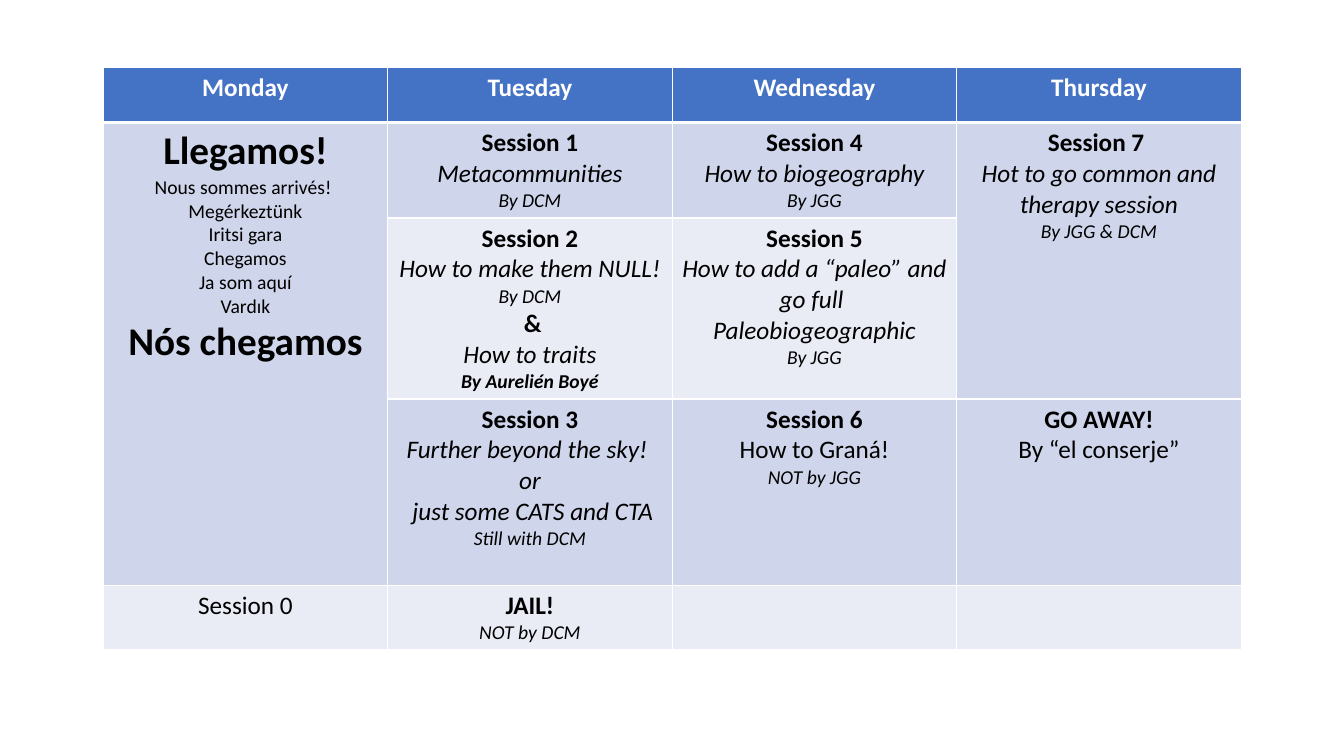
from dataclasses import dataclass

from lxml.etree import SubElement
from pptx import Presentation
from pptx.dml.color import RGBColor
from pptx.enum.text import PP_ALIGN
from pptx.oxml.ns import qn
from pptx.table import Table, _Cell
from pptx.util import Cm, Pt

WHITE = RGBColor(0xFF, 0xFF, 0xFF)
BLACK = RGBColor(0x00, 0x00, 0x00)
HEADER_BLUE = RGBColor(0x44, 0x72, 0xC4)
BAND_DARK = RGBColor(0xCF, 0xD5, 0xEA)
BAND_LIGHT = RGBColor(0xE9, 0xEB, 0xF5)

FONT = "Calibri"
COLUMN_WIDTH = 7.17
ROW_HEIGHTS = (1.4, 2.4, 4.56, 4.69, 1.61)
ROW_FILLS = (HEADER_BLUE, BAND_DARK, BAND_LIGHT, BAND_DARK, BAND_LIGHT)
DAYS = ("Monday", "Tuesday", "Wednesday", "Thursday")


@dataclass(frozen=True)
class Style:
    size: int
    bold: bool = False
    italic: bool = False
    color: RGBColor = BLACK


@dataclass(frozen=True)
class Line:
    text: str
    style: Style


@dataclass(frozen=True)
class Entry:
    row: int
    column: int
    lines: tuple[Line, ...]
    row_span: int = 1


DAY = Style(18, bold=True, color=WHITE)
SHOUT = Style(28, bold=True)
GREETING = Style(14)
SESSION = Style(18, bold=True)
PLAIN = Style(18)
TOPIC = Style(18, italic=True)
SPEAKER = Style(14, italic=True)
GUEST = Style(14, bold=True, italic=True)

GREETINGS = ("Nous sommes arrivés! ", "Megérkeztünk", "Iritsi gara",
             "Chegamos", "Ja som aquí", "Vardık")

ENTRIES = (
    *(Entry(0, column, (Line(day, DAY),)) for column, day in enumerate(DAYS)),
    # Monday
    Entry(1, 0, (Line("Llegamos!", SHOUT),
                 *(Line(greeting, GREETING) for greeting in GREETINGS),
                 Line("Nós chegamos", SHOUT)), row_span=3),
    Entry(4, 0, (Line("Session 0", PLAIN),)),
    # Tuesday
    Entry(1, 1, (Line("Session 1", SESSION), Line("Metacommunities", TOPIC),
                 Line("By DCM", SPEAKER))),
    Entry(2, 1, (Line("Session 2", SESSION), Line("How to make them NULL!", TOPIC),
                 Line("By DCM", SPEAKER), Line(" &", SESSION),
                 Line("How to traits", TOPIC), Line("By Aurelién Boyé", GUEST))),
    Entry(3, 1, (Line("Session 3", SESSION), Line("Further beyond the sky! ", TOPIC),
                 Line("or", TOPIC), Line(" just some CATS and CTA", TOPIC),
                 Line("Still with DCM", SPEAKER))),
    Entry(4, 1, (Line("JAIL!", SESSION), Line("NOT by DCM", SPEAKER))),
    # Wednesday
    Entry(1, 2, (Line("Session 4", SESSION), Line("How to biogeography", TOPIC),
                 Line("By JGG", SPEAKER))),
    Entry(2, 2, (Line("Session 5", SESSION),
                 Line("How to add a “paleo” and go full ", TOPIC),
                 Line("Paleobiogeographic", TOPIC), Line("By JGG", SPEAKER))),
    Entry(3, 2, (Line("Session 6", SESSION), Line("How to Graná!", PLAIN),
                 Line("NOT by JGG", SPEAKER))),
    # Thursday
    Entry(1, 3, (Line("Session 7 ", SESSION),
                 Line("Hot to go common and therapy session", TOPIC),
                 Line("By JGG & DCM", SPEAKER)), row_span=2),
    Entry(3, 3, (Line("GO AWAY!", SESSION), Line("By “el conserje”", PLAIN))),
)


def add_borders(cell: _Cell, top: int, bottom: int) -> None:
    properties = cell._tc.get_or_add_tcPr()
    for tag, width in (("a:lnL", 1), ("a:lnR", 1), ("a:lnT", top), ("a:lnB", bottom)):
        border = SubElement(properties, qn(tag), w=str(Pt(width)))
        fill = SubElement(border, qn("a:solidFill"))
        SubElement(fill, qn("a:srgbClr"), val=str(WHITE))


def style_grid(table: Table) -> None:
    table.first_row = False
    table.horz_banding = False
    for column in table.columns:
        column.width = Cm(COLUMN_WIDTH)
    for index, (row, height) in enumerate(zip(table.rows, ROW_HEIGHTS)):
        row.height = Cm(height)
        for cell in row.cells:
            # The rule under the header is the heavy one
            add_borders(cell, top=3 if index == 1 else 1, bottom=3 if index == 0 else 1)
            cell.fill.solid()
            cell.fill.fore_color.rgb = ROW_FILLS[index]


def write_entry(table: Table, entry: Entry) -> None:
    cell = table.cell(entry.row, entry.column)
    if entry.row_span > 1:
        cell.merge(table.cell(entry.row + entry.row_span - 1, entry.column))
    frame = cell.text_frame
    for index, line in enumerate(entry.lines):
        para = frame.add_paragraph() if index else frame.paragraphs[0]
        para.alignment = PP_ALIGN.CENTER
        span = para.add_run()
        span.text = line.text
        span.font.name = FONT
        span.font.size = Pt(line.style.size)
        span.font.bold = line.style.bold
        span.font.italic = line.style.italic
        span.font.color.rgb = line.style.color


def main() -> None:
    deck = Presentation()
    deck.slide_width = Cm(33.87)
    deck.slide_height = Cm(19.05)
    page = deck.slides.add_slide(deck.slide_layouts[6])

    # Timetable
    timetable = page.shapes.add_table(
        len(ROW_HEIGHTS), len(DAYS), Cm(2.6), Cm(1.69),
        Cm(COLUMN_WIDTH * len(DAYS)), Cm(sum(ROW_HEIGHTS))).table
    style_grid(timetable)
    for entry in ENTRIES:
        write_entry(timetable, entry)

    deck.save("out.pptx")


if __name__ == "__main__":
    main()
